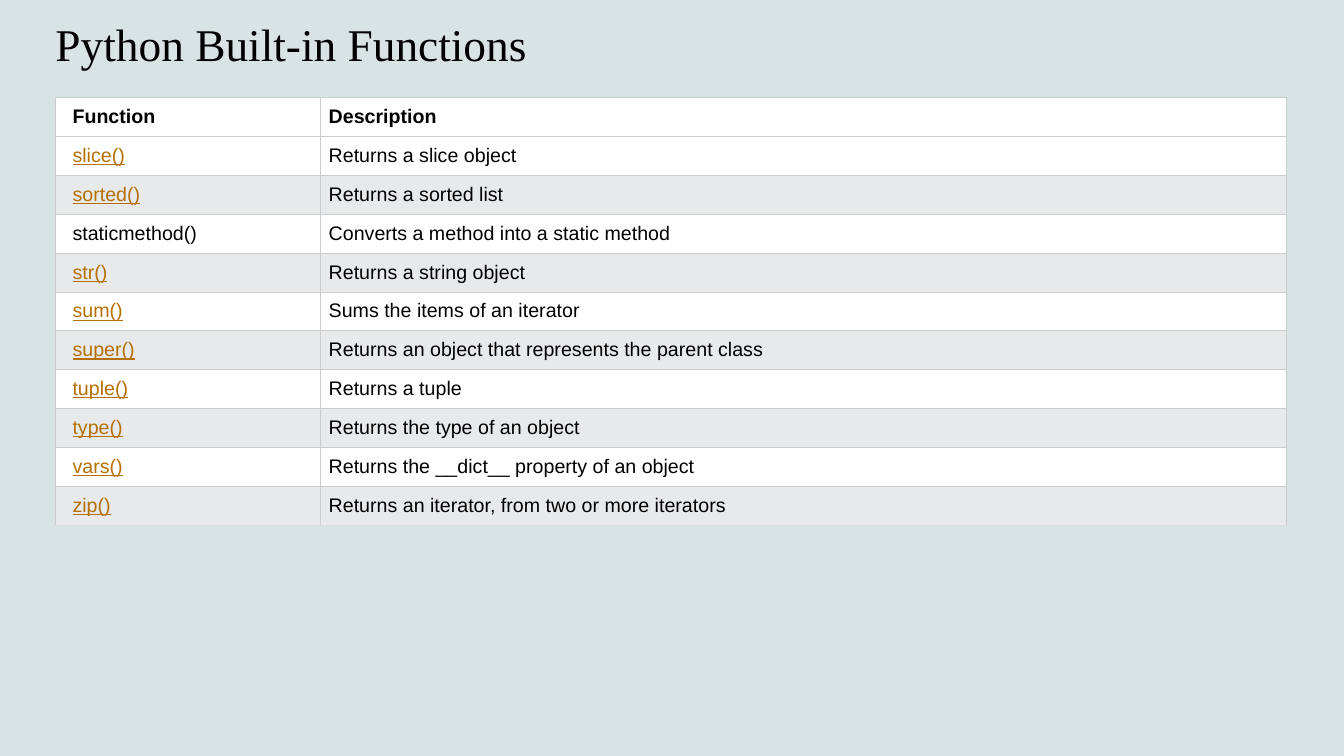
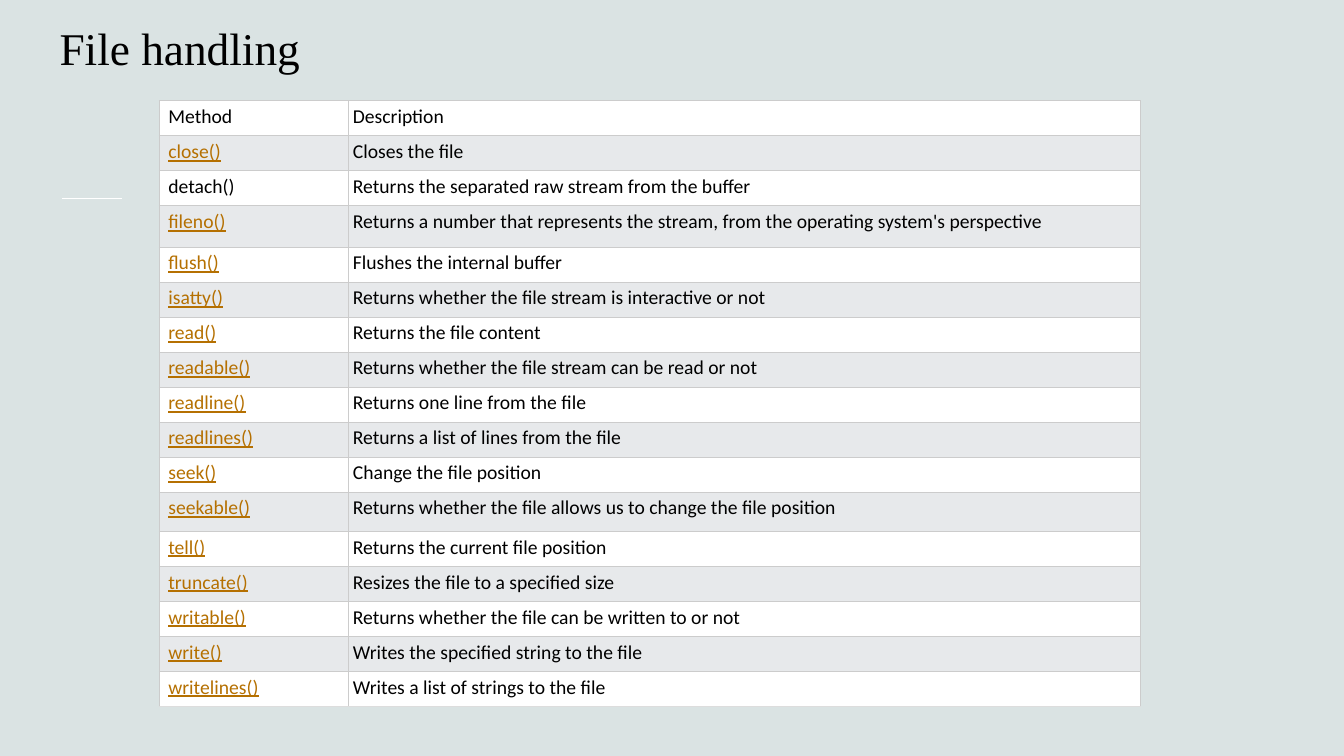
from lxml import etree
from pptx import Presentation
from pptx.dml.color import RGBColor
from pptx.enum import shapes, text
from pptx.oxml.ns import qn
from pptx.util import Inches, Pt

BACKGROUND = RGBColor(0xDA, 0xE3, 0xE3)
WHITE = RGBColor(0xFF, 0xFF, 0xFF)
BLACK = RGBColor(0x00, 0x00, 0x00)
BAND = RGBColor(0xE7, 0xE9, 0xEB)
LINK = RGBColor(0xB5, 0x70, 0x01)
GRID = RGBColor(0xCC, 0xCC, 0xCC)
GRID_END = RGBColor(0xDD, 0xDD, 0xDD)

TITLE_FONT = "Times New Roman"
TITLE_SIZE = Pt(32.4)
CELL_SIZE = Pt(14)
NOT_LINKED = {"Function", "Method", "staticmethod()", "detach()"}

BUILT_INS = [
    ("Function", "Description"),
    ("slice()", "Returns a slice object"),
    ("sorted()", "Returns a sorted list"),
    ("staticmethod()", "Converts a method into a static method"),
    ("str()", "Returns a string object"),
    ("sum()", "Sums the items of an iterator"),
    ("super()", "Returns an object that represents the parent class"),
    ("tuple()", "Returns a tuple"),
    ("type()", "Returns the type of an object"),
    ("vars()", "Returns the __dict__ property of an object"),
    ("zip()", "Returns an iterator, from two or more iterators"),
]
FILE_METHODS = [
    ("Method", "Description"),
    ("close()", "Closes the file"),
    ("detach()", "Returns the separated raw stream from the buffer"),
    ("fileno()", "Returns a number that represents the stream, "
                 "from the operating system's perspective"),
    ("flush()", "Flushes the internal buffer"),
    ("isatty()", "Returns whether the file stream is interactive or not"),
    ("read()", "Returns the file content"),
    ("readable()", "Returns whether the file stream can be read or not"),
    ("readline()", "Returns one line from the file"),
    ("readlines()", "Returns a list of lines from the file"),
    ("seek()", "Change the file position"),
    ("seekable()", "Returns whether the file allows us to change the file position"),
    ("tell()", "Returns the current file position"),
    ("truncate()", "Resizes the file to a specified size"),
    ("writable()", "Returns whether the file can be written to or not"),
    ("write()", "Writes the specified string to the file"),
    ("writelines()", "Writes a list of strings to the file"),
]


def add_shared_rule(slide, layout):
    """Draw the short white rule and move it to the layout."""
    rule = slide.shapes.add_connector(
        shapes.MSO_CONNECTOR.STRAIGHT,
        Inches(0.62), Inches(1.97), Inches(1.21), Inches(1.97))
    rule.line.color.rgb = WHITE
    rule.line.width = Pt(1)
    etree.SubElement(rule.element.spPr, qn("a:effectLst"))
    layout.shapes.element.append(rule.element)


def set_title(slide, wording, left, top, width, height):
    title = slide.shapes.title
    title.left, title.top = Inches(left), Inches(top)
    title.width, title.height = Inches(width), Inches(height)
    frame = title.text_frame
    frame.text = wording
    frame.auto_size = text.MSO_AUTO_SIZE.NONE
    frame.vertical_anchor = text.MSO_ANCHOR.BOTTOM
    frame.margin_left = 0
    paragraph = frame.paragraphs[0]
    paragraph.alignment = text.PP_ALIGN.LEFT
    paragraph.font.name = TITLE_FONT
    paragraph.font.size = TITLE_SIZE
    paragraph.font.color.rgb = BLACK


def set_borders(cell_properties, bottom):
    edges = [("L", GRID), ("R", GRID), ("T", GRID), ("B", bottom)]
    for position, (side, color) in enumerate(edges):
        edge = etree.Element(qn(f"a:ln{side}"), w=str(Pt(0.75)))
        fill = etree.SubElement(edge, qn("a:solidFill"))
        etree.SubElement(fill, qn("a:srgbClr"), val=str(color))
        cell_properties.insert(position, edge)


def fill_cell(cell, wording, font_name, linked, bold, band, indent, margin):
    cell.margin_left = Inches(indent)
    cell.margin_right = cell.margin_top = cell.margin_bottom = Inches(margin)
    cell.fill.solid()
    cell.fill.fore_color.rgb = band
    cell.text = wording
    font = cell.text_frame.paragraphs[0].font
    font.name = font_name
    font.size = CELL_SIZE
    font.bold = bold
    font.underline = linked
    font.color.rgb = LINK if linked else BLACK


def add_reference_table(slide, entries, box, name_width, font_name, indent,
                        margin, band_rows, bold_header=False, tall_rows=None):
    """Place a name/description table in box; rows not in tall_rows share the rest."""
    left, top, width, height = (Inches(length) for length in box)
    frame = slide.shapes.add_table(len(entries), 2, left, top, width, height)
    table = frame.table
    table.first_row = table.horz_banding = False
    table.columns[0].width = Inches(name_width)
    table.columns[1].width = width - Inches(name_width)

    tall = {row: Inches(size) for row, size in (tall_rows or {}).items()}
    even_height = (height - sum(tall.values())) // (len(entries) - len(tall))
    for row, entry in enumerate(entries):
        table.rows[row].height = tall.get(row, even_height)
        band = BAND if row in band_rows else WHITE
        for column, wording in enumerate(entry):
            linked = column == 0 and wording not in NOT_LINKED
            fill_cell(table.cell(row, column), wording, font_name, linked,
                      bold_header and row == 0, band,
                      indent if column == 0 else margin, margin)

    last_row_start = 2 * (len(entries) - 1)
    for index, properties in enumerate(frame.element.iter(qn("a:tcPr"))):
        set_borders(properties, GRID_END if index >= last_row_start else GRID)


def build_built_ins(slide):
    set_title(slide, "Python Built-in Functions", 0.55, 0.17, 12.14, 0.58)
    add_reference_table(slide, BUILT_INS, (0.55, 0.97, 12.21, 4.24), 2.63,
                        "Arial", indent=0.17, margin=0.08,
                        band_rows=range(2, len(BUILT_INS), 2), bold_header=True)


def build_file_handling(slide):
    set_title(slide, "File handling", 0.59, 0.15, 12.14, 0.64)
    add_reference_table(slide, FILE_METHODS, (1.58, 1, 9.73, 6.01), 1.88,
                        "Calibri", indent=0.09, margin=0.04,
                        band_rows=range(1, len(FILE_METHODS), 2),
                        tall_rows={3: 0.41, 11: 0.39})


def main():
    deck = Presentation()
    deck.slide_width, deck.slide_height = Inches(13.33), Inches(7.5)
    background = deck.slide_master.background.fill
    background.solid()
    background.fore_color.rgb = BACKGROUND
    layout = deck.slide_layouts.get_by_name("Title Only")

    built_ins = deck.slides.add_slide(layout)
    add_shared_rule(built_ins, layout)
    build_built_ins(built_ins)
    build_file_handling(deck.slides.add_slide(layout))
    deck.save("out.pptx")


if __name__ == "__main__":
    main()
